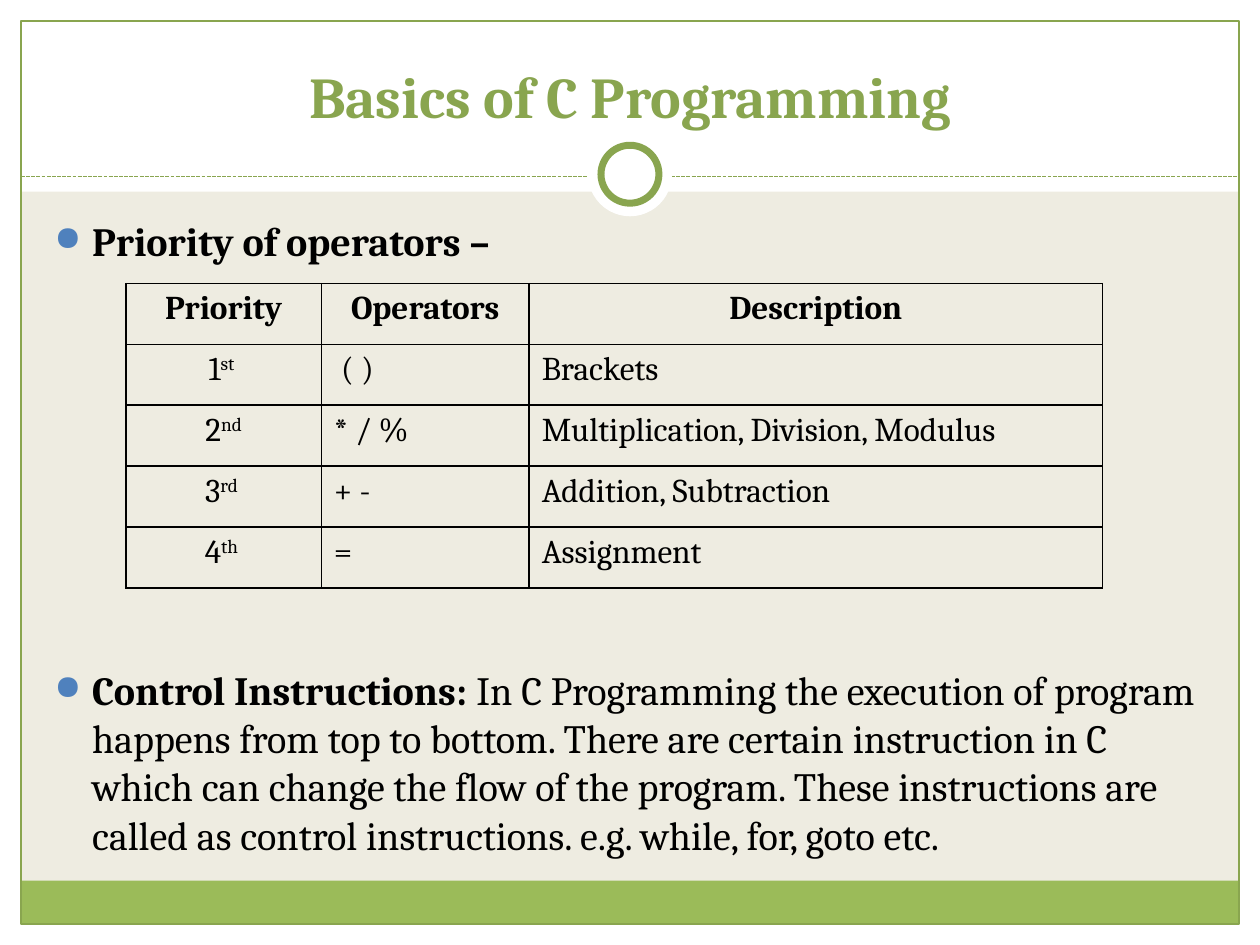
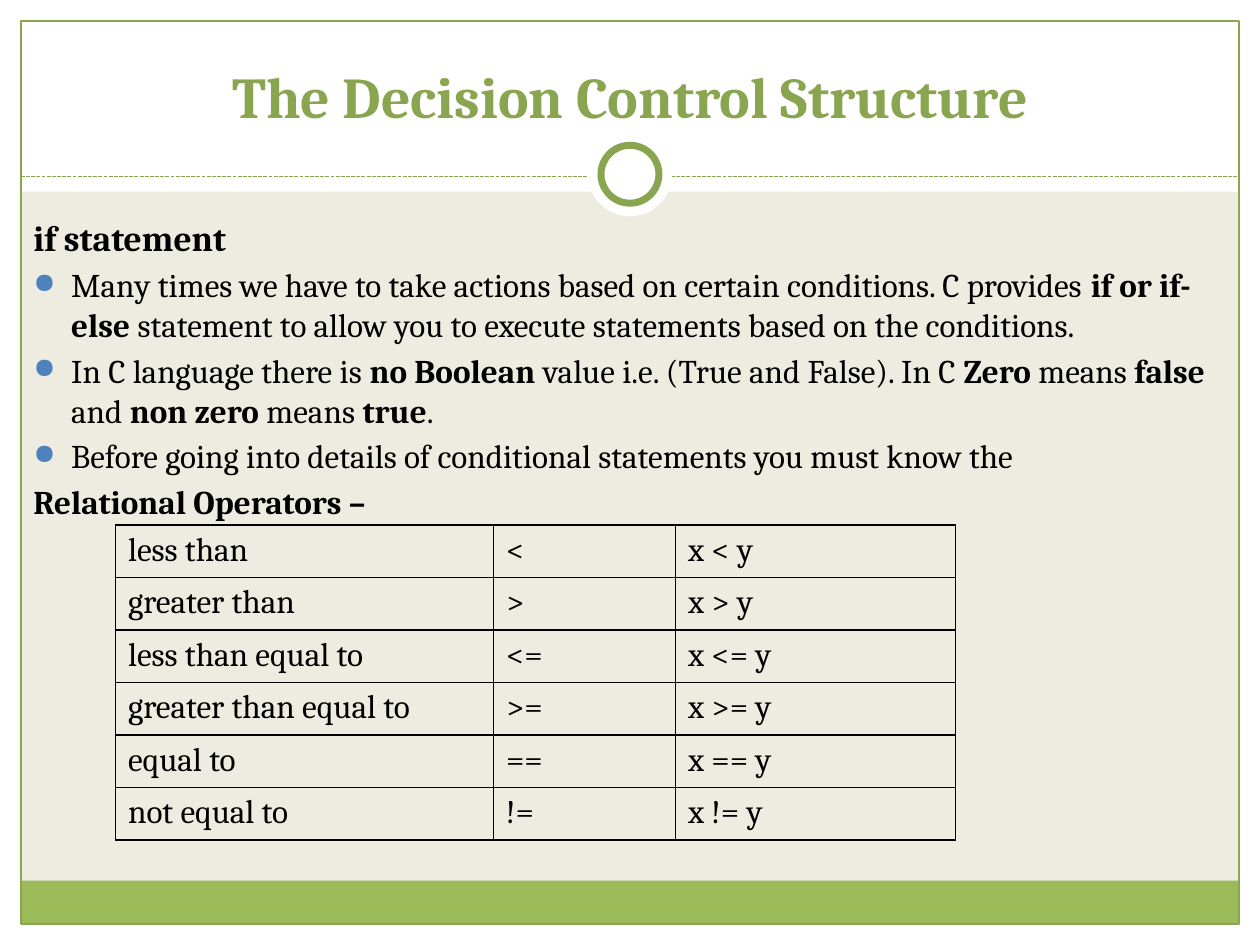
import dataclasses

import lxml.etree
import pptx
import pptx.dml.color
import pptx.enum.dml
import pptx.enum.shapes
import pptx.enum.text
import pptx.oxml
import pptx.oxml.ns
import pptx.util

COLUMNS, ROWS = 60, 45
SLIDE_WIDTH, SLIDE_HEIGHT = pptx.util.Inches(10), pptx.util.Inches(7.5)
SHAPE = pptx.enum.shapes.MSO_SHAPE
ALIGN = pptx.enum.text.PP_ALIGN
ANCHOR = pptx.enum.text.MSO_ANCHOR


@dataclasses.dataclass(frozen=True)
class Theme:
    """Colours, font and type sizes shared by the slides."""
    font: str = "Cambria"
    paper: str = "EEECE1"
    white: str = "FFFFFF"
    band: str = "9BBB59"
    accent: str = "89A54F"
    bullet: str = "4F81BD"
    ink: str = "000000"
    title_size: float = 33
    lead_size: float = 22.9
    heading_size: float = 20.3
    body_size: float = 18.9
    table_size: float = 19
    thin: float = 0.75
    ring: float = 4
    indent: float = 0.3
    gap: float = 3.5


THEME = Theme()


def rgb(colour):
    """Turn a hex string into a colour."""
    return pptx.dml.color.RGBColor.from_string(colour)


def across(columns):
    """Measure grid columns."""
    return round(SLIDE_WIDTH * columns / COLUMNS)


def down(rows):
    """Measure grid rows."""
    return round(SLIDE_HEIGHT * rows / ROWS)


def area(left, top, width, height):
    """Convert a grid area to slide lengths."""
    return across(left), down(top), across(width), down(height)


def apply_format(target, values):
    """Set each attribute named in the values."""
    for name, value in values.items():
        setattr(target, name, value)


def style_run(run, size, colour, bold):
    """Apply the common font to a run."""
    apply_format(run.font, {"name": THEME.font, "size": pptx.util.Pt(size), "bold": bold})
    run.font.color.rgb = rgb(colour)


def write_segments(paragraph, text, size, raised=False):
    """Write text whose bars switch bold, or superscript, on and off."""
    for position, segment in enumerate(text.split("|")):
        if not segment:
            continue
        marked = position % 2 == 1
        run = paragraph.add_run()
        run.text = segment
        style_run(run, size, THEME.ink, marked and not raised)
        if marked and raised:
            run._r.get_or_add_rPr().set("baseline", "30000")


def add_panel(slide, preset, place, fill=None, line=None, weight=THEME.thin):
    """Add a flat frame part."""
    panel = slide.shapes.add_shape(preset, *area(*place))
    panel.shadow.inherit = False
    if fill:
        panel.fill.solid()
        panel.fill.fore_color.rgb = rgb(fill)
    else:
        panel.fill.background()
    if line:
        panel.line.color.rgb = rgb(line)
        panel.line.width = pptx.util.Pt(weight)
    else:
        panel.line.fill.background()


def add_divider(slide, left, right, row):
    """Add the dashed rule under the title."""
    divider = slide.shapes.add_connector(
        pptx.enum.shapes.MSO_CONNECTOR.STRAIGHT, across(left), down(row), across(right), down(row))
    apply_format(divider.line, {"width": pptx.util.Pt(THEME.thin),
                                "dash_style": pptx.enum.dml.MSO_LINE.SQUARE_DOT})
    divider.line.color.rgb = rgb(THEME.accent)
    lxml.etree.SubElement(divider.element.spPr, pptx.oxml.ns.qn("a:effectLst"))


def build_frame(slide, layout):
    """Draw the frame and hand it to the shared layout."""
    for placeholder in list(layout.placeholders):
        if placeholder.placeholder_format.idx:
            placeholder.element.getparent().remove(placeholder.element)
    layout.background.fill.solid()
    layout.background.fill.fore_color.rgb = rgb(THEME.paper)
    for margin in ((0, 44, COLUMNS, 1), (0, 0, COLUMNS, 9.13), (0, 0, 1, ROWS), (59, 0, 1, ROWS)):
        add_panel(slide, SHAPE.RECTANGLE, margin, THEME.white)
    add_panel(slide, SHAPE.RECTANGLE, (1, 41.94, 58, 2.06), THEME.band)
    add_panel(slide, SHAPE.RECTANGLE, (1, 1, 58, 43), line=THEME.accent)
    add_divider(slide, 1, 59, 8.4)
    add_panel(slide, SHAPE.OVAL, (28, 6.3, 4, 4), THEME.white)
    add_panel(slide, SHAPE.OVAL, (28.62, 6.92, 2.76, 2.76), THEME.white, THEME.accent, THEME.ring)
    for part in list(slide.shapes):
        if not part.is_placeholder:
            layout.shapes.element.append(part.element)


def set_title(slide, text):
    """Place and format the title."""
    title = slide.shapes.title
    apply_format(title, dict(zip(("left", "top", "width", "height"), area(2, 1.5, 56, 5))))
    frame = title.text_frame
    apply_format(frame, {"vertical_anchor": ANCHOR.BOTTOM, "word_wrap": True,
                         "auto_size": pptx.enum.text.MSO_AUTO_SIZE.NONE})
    paragraph = frame.paragraphs[0]
    paragraph.alignment = ALIGN.CENTER
    run = paragraph.add_run()
    run.text = text
    style_run(run, THEME.title_size, THEME.accent, True)


def add_bullet(paragraph):
    """Give a paragraph a hanging round bullet."""
    properties = paragraph._p.get_or_add_pPr()
    hang = pptx.util.Inches(THEME.indent)
    properties.set("marL", str(hang))
    properties.set("indent", str(-hang))
    namespace = pptx.oxml.ns.nsdecls("a")
    for markup in (f'<a:buClr {namespace}><a:srgbClr val="{THEME.bullet}"/></a:buClr>',
                   f'<a:buSzPct {namespace} val="85000"/>',
                   f'<a:buChar {namespace} char="●"/>'):
        properties.append(pptx.oxml.parse_xml(markup))


def add_body(slide, place, paragraphs):
    """Add paragraphs given as text, size and whether bulleted."""
    frame = slide.shapes.add_textbox(*area(*place)).text_frame
    frame.word_wrap = True
    for position, (text, size, bulleted) in enumerate(paragraphs):
        paragraph = frame.add_paragraph() if position else frame.paragraphs[0]
        paragraph.space_before = pptx.util.Pt(THEME.gap)
        if bulleted:
            add_bullet(paragraph)
        write_segments(paragraph, text, size)


def border_cell(cell):
    """Rule all four sides of a cell."""
    properties = cell._tc.get_or_add_tcPr()
    for side in ("lnL", "lnR", "lnT", "lnB"):
        properties.append(pptx.oxml.parse_xml(
            f'<a:{side} {pptx.oxml.ns.nsdecls("a")} w="12700"><a:solidFill>'
            f'<a:srgbClr val="{THEME.ink}"/></a:solidFill></a:{side}>'))
    cell.fill.background()


def add_grid(slide, left, top, widths, row_height, records, headed=False):
    """Add a ruled table, with a bold head and centred ranks if headed."""
    place = area(left, top, sum(widths), row_height * len(records))
    table = slide.shapes.add_table(len(records), len(widths), *place).table
    apply_format(table, {"first_row": headed, "horz_banding": False})
    for column, width in zip(table.columns, widths):
        column.width = across(width)
    for row_number, record in enumerate(records):
        table.rows[row_number].height = down(row_height)
        is_head = headed and row_number == 0
        for column_number, text in enumerate(record):
            cell = table.cell(row_number, column_number)
            border_cell(cell)
            paragraph = cell.text_frame.paragraphs[0]
            centred = is_head or (headed and column_number == 0)
            paragraph.alignment = ALIGN.CENTER if centred else ALIGN.LEFT
            write_segments(paragraph, "|" + text if is_head else text,
                           THEME.table_size, raised=not is_head)


def build_priority(slide):
    """Fill the operator priority slide."""
    set_title(slide, "Basics of C Programming")
    add_body(slide, (2, 10, 55.8, 3), [("|Priority of operators –", THEME.lead_size, True)])
    add_grid(slide, 6, 13.5, (9.3, 9.9, 27.3), 2.9, [
        ("Priority", "Operators", "Description"),
        ("1|st ", " ( )", "Brackets"),
        ("2|nd", "* / %", "Multiplication, Division, Modulus"),
        ("3|rd ", "+ -", "Addition, Subtraction"),
        ("4|th ", "=", "Assignment"),
    ], headed=True)
    add_body(slide, (2, 31.4, 55.8, 10), [(
        "|Control Instructions: |In C Programming the execution of program happens from top to "
        "bottom. There are certain instruction in C which can change the flow of the program. "
        "These instructions are called as control instructions. e.g. while, for, goto etc.",
        THEME.lead_size, True)])


def build_decision(slide):
    """Fill the decision control slide."""
    set_title(slide, "The Decision Control Structure")
    add_body(slide, (1, 10, 58, 15.5), [
        ("|if statement", THEME.heading_size, False),
        ("Many times we have to take actions based on certain conditions. C provides |if or "
         "if-else |statement to allow you to execute statements based on the conditions.",
         THEME.body_size, True),
        ("In C language there is |no Boolean |value i.e. (True and False). In C |Zero| means "
         "|false| and |non zero |means |true|.", THEME.body_size, True),
        ("Before going into details of conditional statements you must know the",
         THEME.body_size, True),
        ("|Relational Operators –", THEME.body_size, False),
    ])
    relations = {"less than": "<", "greater than": ">", "less than equal to": "<=",
                 "greater than equal to": ">=", "equal to": "==", "not equal to": "!="}
    add_grid(slide, 5.5, 25, (18, 8.67, 13.33), 2.47,
             [(name, sign, f"x {sign} y") for name, sign in relations.items()])


def main():
    """Build and save the two slides."""
    deck = pptx.Presentation()
    apply_format(deck, {"slide_width": SLIDE_WIDTH, "slide_height": SLIDE_HEIGHT})
    layout = deck.slide_layouts.get_by_name("Title Only")
    priority, decision = (deck.slides.add_slide(layout) for _ in range(2))
    build_frame(priority, layout)
    build_priority(priority)
    build_decision(decision)
    deck.save("out.pptx")


if __name__ == "__main__":
    main()
